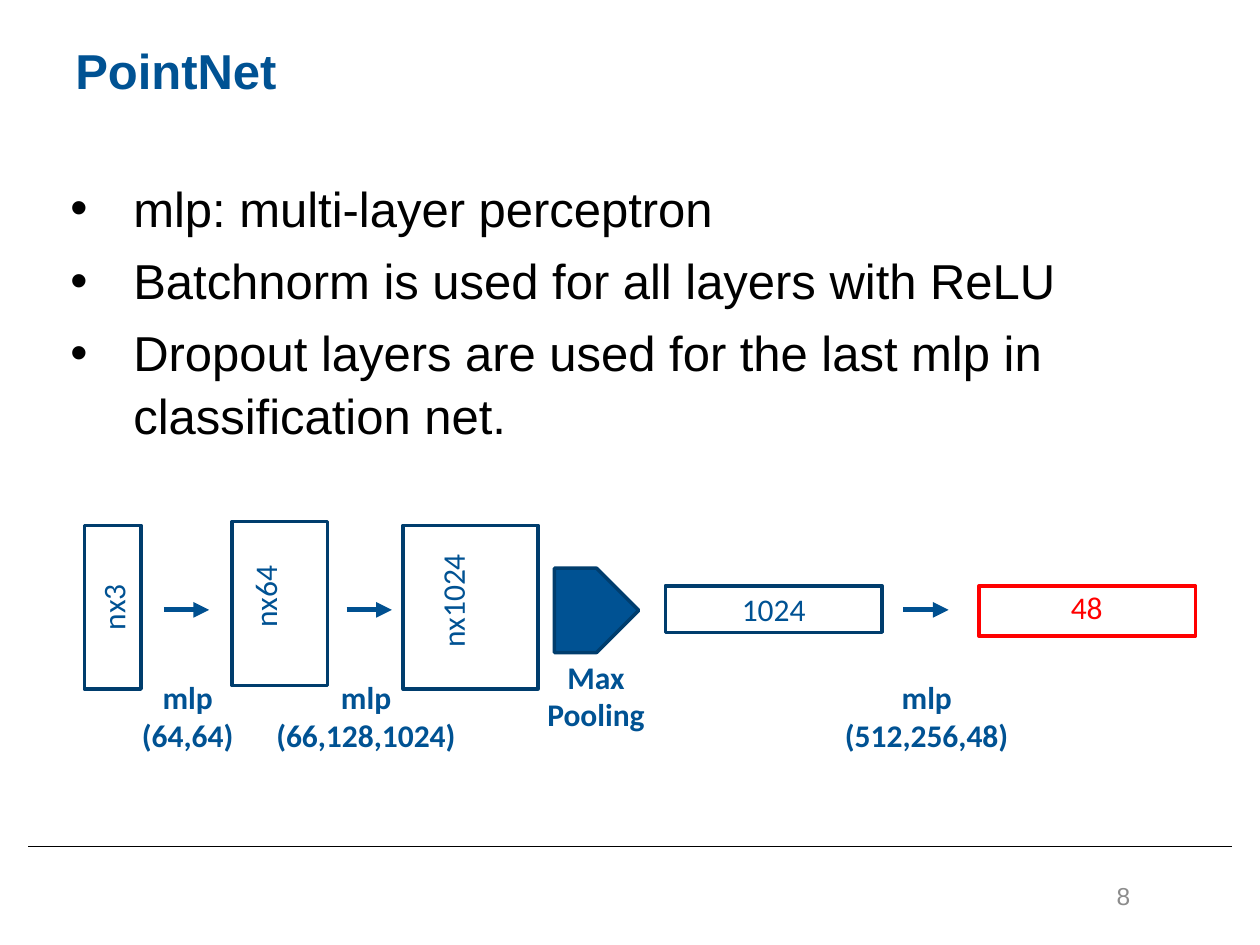
from lxml import etree
from pptx import Presentation
from pptx.dml.color import RGBColor
from pptx.enum.shapes import MSO_CONNECTOR, MSO_SHAPE
from pptx.enum.text import MSO_ANCHOR, PP_ALIGN
from pptx.oxml.ns import qn
from pptx.util import Pt

RECT, PENTAGON = MSO_SHAPE.RECTANGLE, MSO_SHAPE.PENTAGON
STRAIGHT = MSO_CONNECTOR.STRAIGHT
TOP, MIDDLE = MSO_ANCHOR.TOP, MSO_ANCHOR.MIDDLE
LEFT, CENTER, RIGHT = PP_ALIGN.LEFT, PP_ALIGN.CENTER, PP_ALIGN.RIGHT

COLORS = {
    "blue": "005293",
    "edge": "003D6D",
    "arrow": "005090",
    "red": "FF0000",
    "black": "000000",
    "gray": "8C8C8C",
}


class Deck:
    """Holds the style and the current slide, and draws each kind of element."""

    def __init__(self, prs):
        self.s = prs.slides.add_slide(prs.slide_layouts[6])
        self.head_font, self.label_font = "Arial", "Calibri"

    def color(self, name):
        return RGBColor.from_string(COLORS[name])

    def label(self, sp, lines, size=18, color="blue", font=None, bold=False,
              align=LEFT, anchor=TOP, upright=False):
        tf = sp.text_frame
        tf.word_wrap = True
        tf.vertical_anchor = anchor
        if upright:
            tf._txBody.bodyPr.set("vert", "vert270")
        for i, line in enumerate(lines):
            p = tf.add_paragraph() if i else tf.paragraphs[0]
            p.alignment = align
            r = p.add_run()
            r.text = line
            r.font.name = font or self.label_font
            r.font.size = Pt(size)
            r.font.bold = bold
            r.font.color.rgb = self.color(color)
        return tf

    def text(self, box, lines, **style):
        sp = self.s.shapes.add_textbox(*map(Pt, box))
        return self.label(sp, lines, **style)

    def bullets(self, box, lines, size):
        tf = self.text(box, lines, size=size, color="black", font=self.head_font)
        for p in tf.paragraphs:
            p.space_before = Pt(size * 0.2)
            p.line_spacing = 1.06
            pPr = p._p.get_or_add_pPr()
            pPr.set("marL", str(Pt(36)))
            pPr.set("indent", str(-Pt(36)))
            etree.SubElement(pPr, qn("a:buFont")).set("typeface", self.head_font)
            etree.SubElement(pPr, qn("a:buChar")).set("char", "•")

    def block(self, box, kind=RECT, edge="edge", fill=None):
        sp = self.s.shapes.add_shape(kind, *map(Pt, box))
        sp.shadow.inherit = False
        if fill:
            sp.fill.solid()
            sp.fill.fore_color.rgb = self.color(fill)
        else:
            sp.fill.background()
        sp.line.color.rgb = self.color(edge)
        sp.line.width = Pt(2)
        return sp

    def line(self, x1, x2, y, color, width, arrow=False):
        c = self.s.shapes.add_connector(STRAIGHT, Pt(x1), Pt(y), Pt(x2), Pt(y))
        c.line.color.rgb = self.color(color)
        c.line.width = Pt(width)
        if arrow:
            ln = c.line._get_or_add_ln()
            etree.SubElement(ln, qn("a:tailEnd")).set("type", "triangle")
        etree.SubElement(c._element.spPr, qn("a:effectLst"))


def main():
    prs = Presentation()
    prs.slide_width, prs.slide_height = Pt(720), Pt(540)
    deck = Deck(prs)

    deck.line(704, 16, 483.8, "black", 1)
    deck.text((36, 11.5, 515.5, 56.9), ["PointNet"], size=28,
              font=deck.head_font, bold=True, anchor=MIDDLE)
    deck.text((586.8, 497.5, 66.2, 28.8), ["8"], size=14, color="gray",
              font=deck.head_font, align=RIGHT, anchor=MIDDLE)
    deck.bullets((33.1, 96.5, 646.6, 287.3), [
        "mlp: multi-layer perceptron",
        "Batchnorm is used for all layers with ReLU",
        "Dropout layers are used for the last mlp in classification net.",
    ], 28)

    points = deck.block((48.2, 300.2, 32.4, 93.6))
    deck.label(points, ["nx3"], align=CENTER, anchor=MIDDLE, upright=True)
    deck.block((132.5, 298.1, 54.7, 93.6))
    deck.block((230.4, 300.2, 77, 93.6))
    feature = deck.block((380.2, 334.8, 123.8, 26.6))
    deck.label(feature, ["1024"], align=CENTER, anchor=MIDDLE)
    deck.block((559.4, 334.8, 123.8, 28.8), edge="red")
    for x in (93.6, 198, 516.2):
        deck.line(x, x + 25.9, 348.5, "arrow", 3, arrow=True)
    deck.block((316.8, 324.7, 48.2, 48.2), kind=PENTAGON, fill="blue")

    deck.text((136.8, 303.8, 41.8, 61.9), ["nx64"], upright=True)
    deck.text((244.1, 298.1, 41.8, 79.2), ["nx1024"], upright=True)
    deck.text((604.8, 332.6, 53.3, 35.3), ["48"], color="red")
    deck.text((297.4, 372.2, 86.4, 51.1), ["Max Pooling"], bold=True, align=CENTER)
    for x, width, sizes in ((71.3, 72, "(64,64)"),
                            (146.9, 124.6, "(66,128,1024)"),
                            (467.3, 124.6, "(512,256,48)")):
        deck.text((x, 383.8, width, 51.1), ["mlp", sizes], bold=True, align=CENTER)

    prs.save("out.pptx")


if __name__ == "__main__":
    main()
